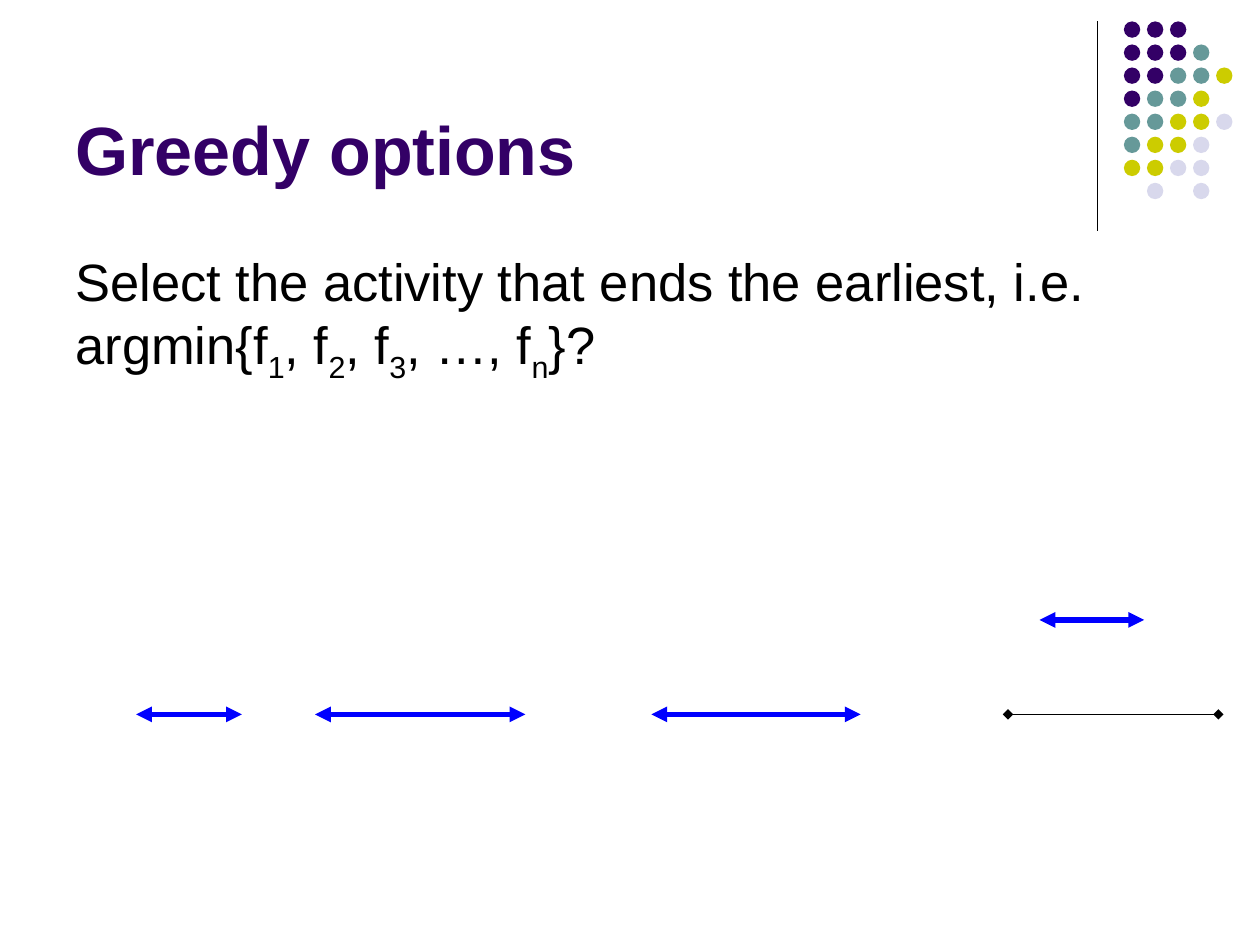
from typing import NamedTuple

from lxml.etree import SubElement
from pptx import Presentation
from pptx.dml.color import RGBColor
from pptx.enum.shapes import MSO_CONNECTOR, MSO_SHAPE
from pptx.enum.text import MSO_ANCHOR
from pptx.oxml.ns import qn
from pptx.slide import Slide
from pptx.text.text import TextFrame
from pptx.util import Inches, Pt

COLORS = {
    "purple": "330066",
    "teal": "669999",
    "olive": "CCCC00",
    "lavender": "D8D8EC",
    "black": "000000",
    "blue": "0000FF",
}
DOT_COLORS = {"P": "purple", "T": "teal", "O": "olive", "L": "lavender"}
DOT_ROWS = ["PPP", "PPPT", "PPTTO", "PTTO", "TTOOL", "TOOL", "OOLL", " L L"]
DOT_LEFT, DOT_TOP, DOT_PITCH, DOT_SIZE = 8.92, 0.17, 0.183, 0.13


class Segment(NamedTuple):
    start: tuple[float, float]
    end: tuple[float, float]
    color: str = "blue"
    width: float = 3
    ends: str | None = "triangle"


class TextArea(NamedTuple):
    left: float
    top: float
    width: float
    height: float
    anchor: MSO_ANCHOR
    top_margin: float = 0.05


DIVIDER = Segment((8.71, 0.17), (8.71, 1.83), "black", 0.75, None)
ACTIVITIES = [
    Segment((1.08, 5.67), (1.92, 5.67)),
    Segment((2.5, 5.67), (4.17, 5.67)),
    Segment((5.17, 5.67), (6.83, 5.67)),
    Segment((8, 5.67), (9.67, 5.67), "black", 0.75, "diamond"),
    Segment((8.25, 4.92), (9.08, 4.92)),
]
TITLE = TextArea(0.5, 0.13, 8.25, 1.42, MSO_ANCHOR.BOTTOM)
BODY = TextArea(0.5, 1.88, 9, 1.87, MSO_ANCHOR.TOP, 0.1)
BODY_SPANS = [
    ("Select the activity that ends the earliest, i.e. argmin{f", "1"),
    (", f", "2"),
    (", f", "3"),
    (", …, f", "n"),
    ("}?", ""),
]


def rgb(name: str) -> RGBColor:
    return RGBColor.from_string(COLORS[name])


def draw_segment(page: Slide, segment: Segment) -> None:
    line = page.shapes.add_connector(
        MSO_CONNECTOR.STRAIGHT, *map(Inches, segment.start + segment.end)
    )
    line.line.color.rgb = rgb(segment.color)
    line.line.width = Pt(segment.width)
    if segment.ends:
        outline = line.line._get_or_add_ln()
        for tag in ("a:headEnd", "a:tailEnd"):
            SubElement(outline, qn(tag), type=segment.ends)
    SubElement(line._element.spPr, qn("a:effectLst"))


def draw_dots(page: Slide) -> None:
    for row, letters in enumerate(DOT_ROWS):
        for column, letter in enumerate(letters):
            if letter == " ":
                continue
            dot = page.shapes.add_shape(
                MSO_SHAPE.OVAL,
                Inches(DOT_LEFT + column * DOT_PITCH),
                Inches(DOT_TOP + row * DOT_PITCH),
                Inches(DOT_SIZE),
                Inches(DOT_SIZE),
            )
            dot.shadow.inherit = False
            dot.fill.solid()
            dot.fill.fore_color.rgb = rgb(DOT_COLORS[letter])
            dot.line.fill.background()


def add_text_area(
    page: Slide, area: TextArea, size: float, color: str, bold: bool
) -> TextFrame:
    box = page.shapes.add_textbox(
        Inches(area.left), Inches(area.top), Inches(area.width), Inches(area.height)
    )
    frame = box.text_frame
    frame.word_wrap = True
    frame.vertical_anchor = area.anchor
    frame.margin_top = Inches(area.top_margin)
    font = frame.paragraphs[0].font
    font.name = "Arial"
    font.size = Pt(size)
    font.bold = bold
    font.color.rgb = rgb(color)
    return frame


def main() -> None:
    deck = Presentation()
    deck.slide_width, deck.slide_height = Inches(10), Inches(7.5)
    page = deck.slides.add_slide(deck.slide_layouts[6])

    draw_segment(page, DIVIDER)
    draw_dots(page)

    title = add_text_area(page, TITLE, 39, "purple", True)
    title.paragraphs[0].add_run().text = "Greedy options"

    body = add_text_area(page, BODY, 30, "black", False)
    para = body.paragraphs[0]
    for text, subscript in BODY_SPANS:
        para.add_run().text = text
        if subscript:
            span = para.add_run()
            span.text = subscript
            span.font._element.set("baseline", "-25000")

    for activity in ACTIVITIES:
        draw_segment(page, activity)

    deck.save("out.pptx")


if __name__ == "__main__":
    main()
